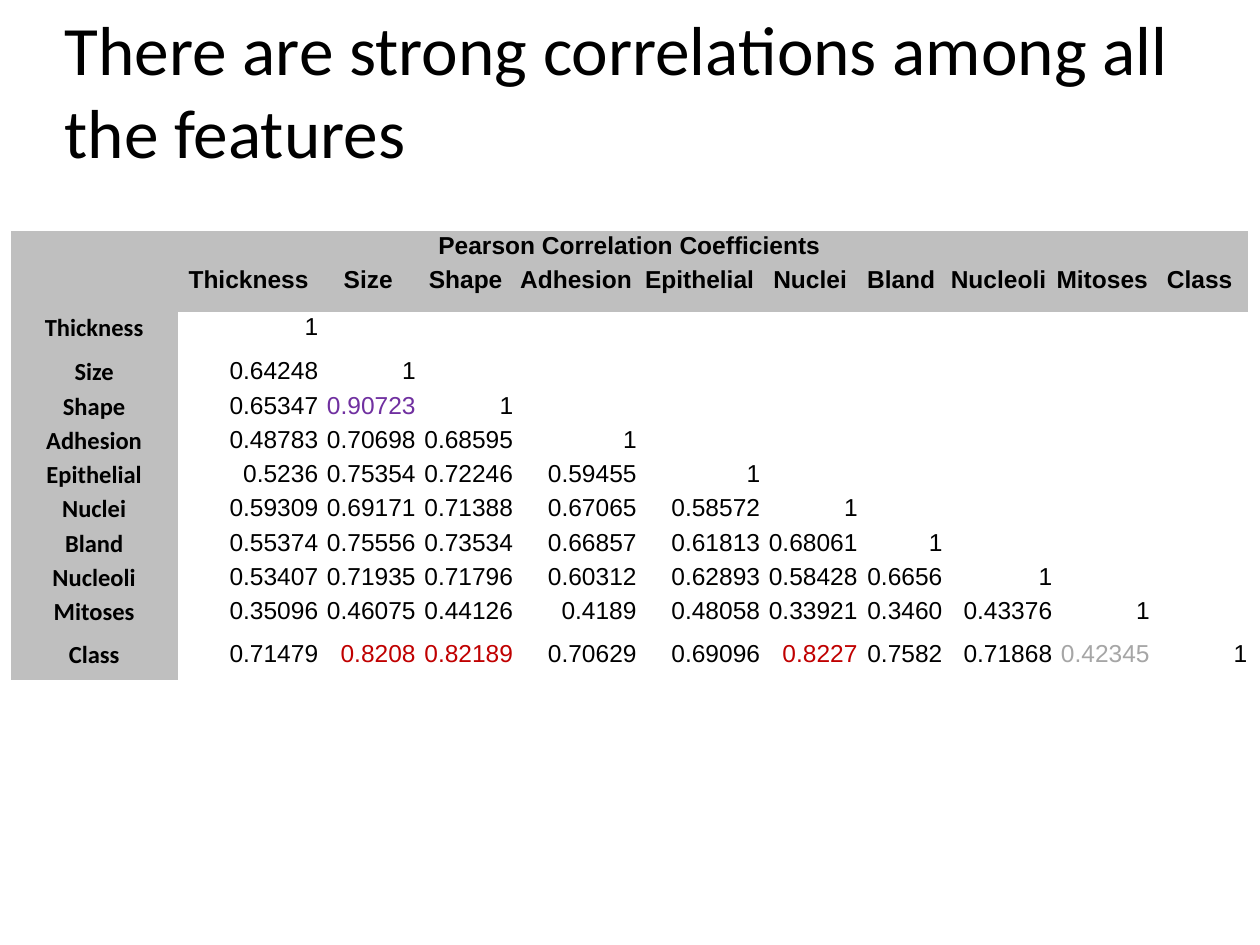
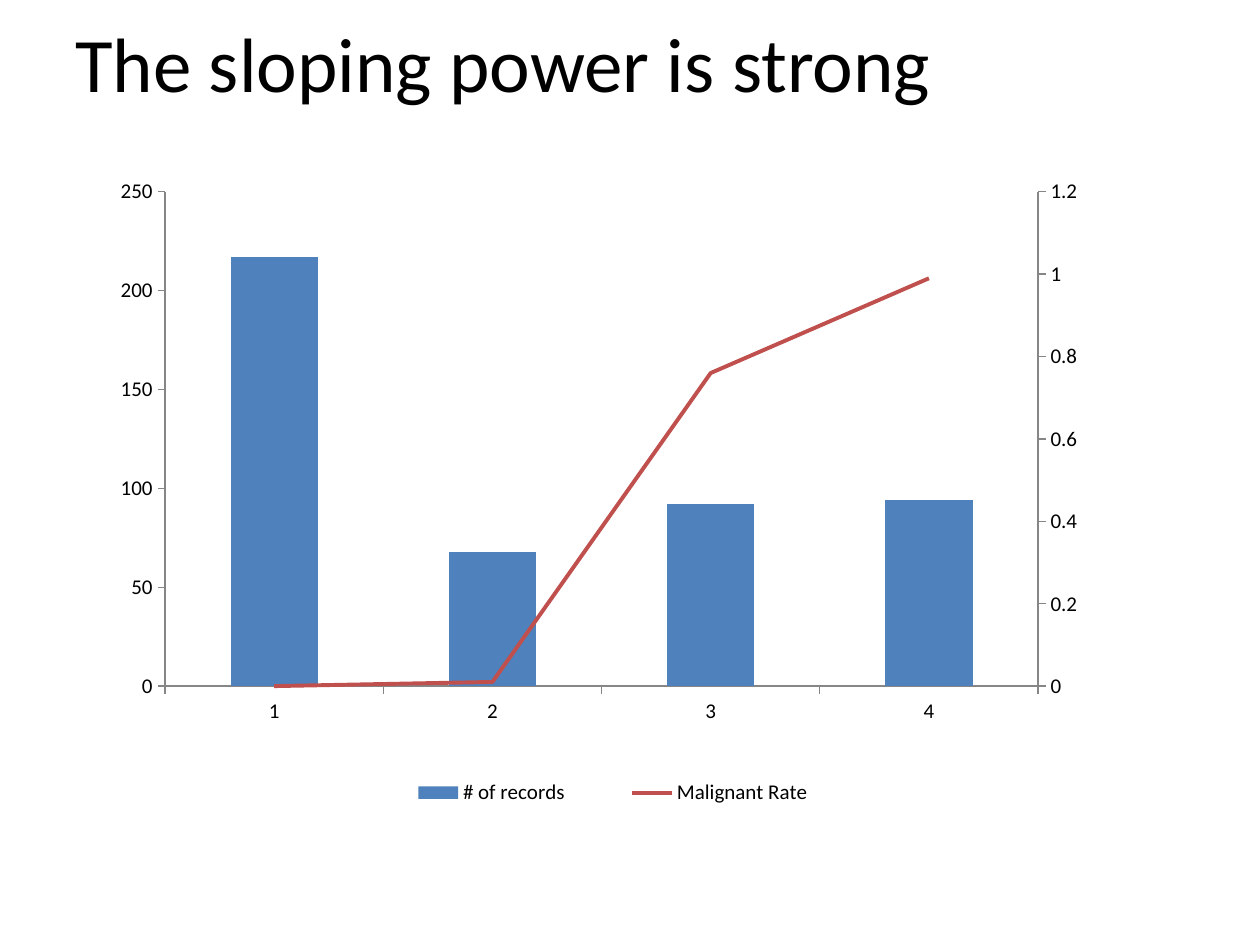
from copy import deepcopy

from lxml import etree
from pptx import Presentation
from pptx import util as u
from pptx.chart.axis import ValueAxis
from pptx.chart.data import CategoryChartData
from pptx.dml.color import RGBColor
from pptx.enum import chart as charts
from pptx.enum import text
from pptx.oxml.ns import qn

COLORS = {
    "ink": "000000",
    "header": "BFBFBF",
    "strongest": "7030A0",
    "strong": "C00000",
    "weak": "A6A6A6",
    "axis": "868686",
    "records": "4F81BD",
    "rate": "C0504D",
}
HEADING_FONT, NUMBER_FONT = "Calibri", "Arial"
NO_TABLE_STYLE = "{2D5ABB26-0587-4C30-8999-92F81FD0307C}"

FEATURES = ["Thickness", "Size", "Shape", "Adhesion", "Epithelial",
            "Nuclei", "Bland", "Nucleoli", "Mitoses", "Class"]
COEFFICIENTS = [
    "1",
    "0.64248 1",
    "0.65347 0.90723 1",
    "0.48783 0.70698 0.68595 1",
    "0.5236 0.75354 0.72246 0.59455 1",
    "0.59309 0.69171 0.71388 0.67065 0.58572 1",
    "0.55374 0.75556 0.73534 0.66857 0.61813 0.68061 1",
    "0.53407 0.71935 0.71796 0.60312 0.62893 0.58428 0.6656 1",
    "0.35096 0.46075 0.44126 0.4189 0.48058 0.33921 0.3460 0.43376 1",
    "0.71479 0.8208 0.82189 0.70629 0.69096 0.8227 0.7582 0.71868 0.42345 1",
]
HIGHLIGHTS = {"0.90723": "strongest", "0.8208": "strong", "0.82189": "strong",
              "0.8227": "strong", "0.42345": "weak"}
COLUMN_WIDTHS = [95.6, 81, 55.7, 55.7, 70.6, 70.6, 55.7, 48.5, 62.8, 55.7, 55.7]
ROW_HEIGHTS = [19.6, 26.6, 25.4] + [19.6] * 7 + [24.5, 23.5]


def color(name):
    """Return the palette colour with this name."""
    return RGBColor.from_string(COLORS[name])


def add_element(parent, tag, **attributes):
    """Append one XML element and return it."""
    return etree.SubElement(parent, qn(tag), attributes)


def place(parent, index, left, top, width, height, inner=False):
    """Give a chart part a manual layout in fractions of the chart."""
    for old in parent.findall(qn("c:layout")):
        parent.remove(old)
    layout = parent.makeelement(qn("c:layout"))
    parent.insert(index, layout)
    manual = add_element(layout, "c:manualLayout")
    if inner:
        add_element(manual, "c:layoutTarget", val="inner")
    for axis in "xy":
        add_element(manual, f"c:{axis}Mode", val="edge")
    for key, value in zip("xywh", (left, top, width, height)):
        add_element(manual, f"c:{key}", val=str(value))


class SlideBuilder:
    """Hold the deck style and add elements to the current page."""

    def __init__(self):
        """Open a deck of 10 by 7.5 inches."""
        self.deck = Presentation()
        self.deck.slide_width, self.deck.slide_height = u.Pt(720), u.Pt(540)
        self.page = None

    def new_page(self):
        """Start a blank page."""
        self.page = self.deck.slides.add_slide(self.deck.slide_layouts[6])

    def add_span(self, para, words, size, font, bold=False, ink="ink"):
        """Add one styled run to a paragraph."""
        span = para.add_run()
        span.text = words
        span.font.size, span.font.name, span.font.bold = u.Pt(size), font, bold
        span.font.color.rgb = color(ink)

    def title(self, words, left, top, width, height, size):
        """Add the page title, centred vertically in its box."""
        box = self.page.shapes.add_textbox(*map(u.Pt, (left, top, width, height)))
        frame = box.text_frame
        frame.word_wrap = True
        frame.vertical_anchor = text.MSO_ANCHOR.MIDDLE
        self.add_span(frame.paragraphs[0], words, size, HEADING_FONT)

    def cell(self, cell, words="", font=NUMBER_FONT, header=False, ink="ink"):
        """Fill one table cell and set its text."""
        cell.margin_left = cell.margin_right = cell.margin_top = u.Pt(0.72)
        cell.margin_bottom = 0
        if header:
            cell.fill.solid()
            cell.fill.fore_color.rgb = color("header")
        else:
            cell.fill.background()
        para = cell.text_frame.paragraphs[0]
        if words:
            para.alignment = text.PP_ALIGN.CENTER if header else text.PP_ALIGN.RIGHT
            self.add_span(para, words, 14, font, header, ink)
        else:
            add_element(para._p, "a:endParaRPr", sz="1400")

    def correlation_table(self, caption, left, top):
        """Add the lower triangle of coefficients with feature headings."""
        frame = self.page.shapes.add_table(
            len(ROW_HEIGHTS), len(COLUMN_WIDTHS), u.Pt(left), u.Pt(top),
            u.Pt(sum(COLUMN_WIDTHS)), u.Pt(sum(ROW_HEIGHTS)))
        table = frame.table
        table.first_row = table.horz_banding = False
        table._tbl.tblPr.find(qn("a:tableStyleId")).text = NO_TABLE_STYLE
        for column, width in zip(table.columns, COLUMN_WIDTHS):
            column.width = u.Pt(width)
        for row, height in zip(table.rows, ROW_HEIGHTS):
            row.height = u.Pt(height)
        table.cell(0, 0).merge(table.cell(0, len(FEATURES)))
        for index in range(len(FEATURES) + 1):
            self.cell(table.cell(0, index), "" if index else caption, header=True)
        for index, name in enumerate([""] + FEATURES):
            self.cell(table.cell(1, index), name, header=True)
        for row, (name, line) in enumerate(zip(FEATURES, COEFFICIENTS), 2):
            self.cell(table.cell(row, 0), name, HEADING_FONT, header=True)
            values = line.split()
            values += [""] * (len(FEATURES) - len(values))
            for index, value in enumerate(values, 1):
                self.cell(table.cell(row, index), value,
                          ink=HIGHLIGHTS.get(value, "ink"))

    def style_axis(self, axis):
        """Give an axis grey lines and outside ticks."""
        axis.has_major_gridlines = False
        axis.major_tick_mark = charts.XL_TICK_MARK.OUTSIDE
        axis.minor_tick_mark = charts.XL_TICK_MARK.NONE
        axis.format.line.color.rgb = color("axis")
        axis.format.line.width = u.Pt(0.75)

    def scale_axis(self, axis, top, step):
        """Run a value axis from zero to its top."""
        axis.minimum_scale, axis.maximum_scale, axis.major_unit = 0, top, step

    def move_to_right_axis(self, chart):
        """Turn the last column series into a line on a second axis."""
        area = chart._chartSpace.chart.plotArea
        bars = area.find(qn("c:barChart"))
        series = bars.findall(qn("c:ser"))[-1]
        for flag in series.findall(qn("c:invertIfNegative")):
            series.remove(flag)
        lines = area.makeelement(qn("c:lineChart"))
        bars.addnext(lines)
        add_element(lines, "c:grouping", val="stacked")
        add_element(lines, "c:varyColors", val="0")
        lines.append(series)
        add_element(lines, "c:marker", val="1")
        ids = {"c:catAx": "5001", "c:valAx": "5002"}
        category, value = [deepcopy(area.find(qn(tag))) for tag in ids]
        for axis, own, other in ((category, "5001", "5002"), (value, "5002", "5001")):
            add_element(lines, "c:axId", val=own)
            axis.find(qn("c:axId")).set("val", own)
            axis.find(qn("c:crossAx")).set("val", other)
        category.find(qn("c:delete")).set("val", "1")
        value.find(qn("c:axPos")).set("val", "r")
        value.find(qn("c:crosses")).set("val", "max")
        area.findall(qn("c:valAx"))[-1].addnext(value)
        value.addnext(category)
        self.scale_axis(ValueAxis(value), 1.2, 0.2)

    def rate_chart(self, left, top, width, height):
        """Add record counts as columns and the malignant rate as a line."""
        data = CategoryChartData()
        data.categories = ["1", "2", "3", "4"]
        data.add_series("# of records", (217, 68, 92, 94))
        data.add_series("Malignant Rate", (0, 0.01, 0.76, 0.99))
        chart = self.page.shapes.add_chart(
            charts.XL_CHART_TYPE.COLUMN_CLUSTERED,
            *map(u.Pt, (left, top, width, height)), data).chart
        chart.has_title = False
        chart.font.size, chart.font.name = u.Pt(12), HEADING_FONT
        chart.font.color.rgb = color("ink")
        self.style_axis(chart.category_axis)
        self.style_axis(chart.value_axis)
        self.scale_axis(chart.value_axis, 250, 50)
        self.move_to_right_axis(chart)

        columns, lines = chart.plots
        columns.gap_width, columns.vary_by_categories = 150, False
        records, rate = columns.series[0], lines.series[0]
        records.format.fill.solid()
        records.format.fill.fore_color.rgb = color("records")
        rate.format.line.color.rgb = color("rate")
        rate.format.line.width = u.Pt(2.25)
        rate.marker.style = charts.XL_MARKER_STYLE.NONE
        rate.smooth = False

        chart.has_legend = True
        chart.legend.position = charts.XL_LEGEND_POSITION.RIGHT
        chart.legend.include_in_layout = False
        place(chart.legend._element, 1, 0.26, 0.89, 0.45, 0.07)
        place(chart._chartSpace.chart.plotArea, 0, 0.09, 0.05, 0.77, 0.72, True)


def main():
    """Build and save the deck."""
    builder = SlideBuilder()
    builder.new_page()
    builder.title("There are strong correlations among all the features",
                  30, 12, 648, 78, 39.6)
    builder.correlation_table("Pearson\u00a0Correlation\u00a0Coefficients", 6, 132)
    builder.new_page()
    builder.title("The sloping power is strong", 36, 1, 648, 68, 44)
    builder.rate_chart(36, 90, 648, 392.4)
    builder.deck.save("out.pptx")


main()
